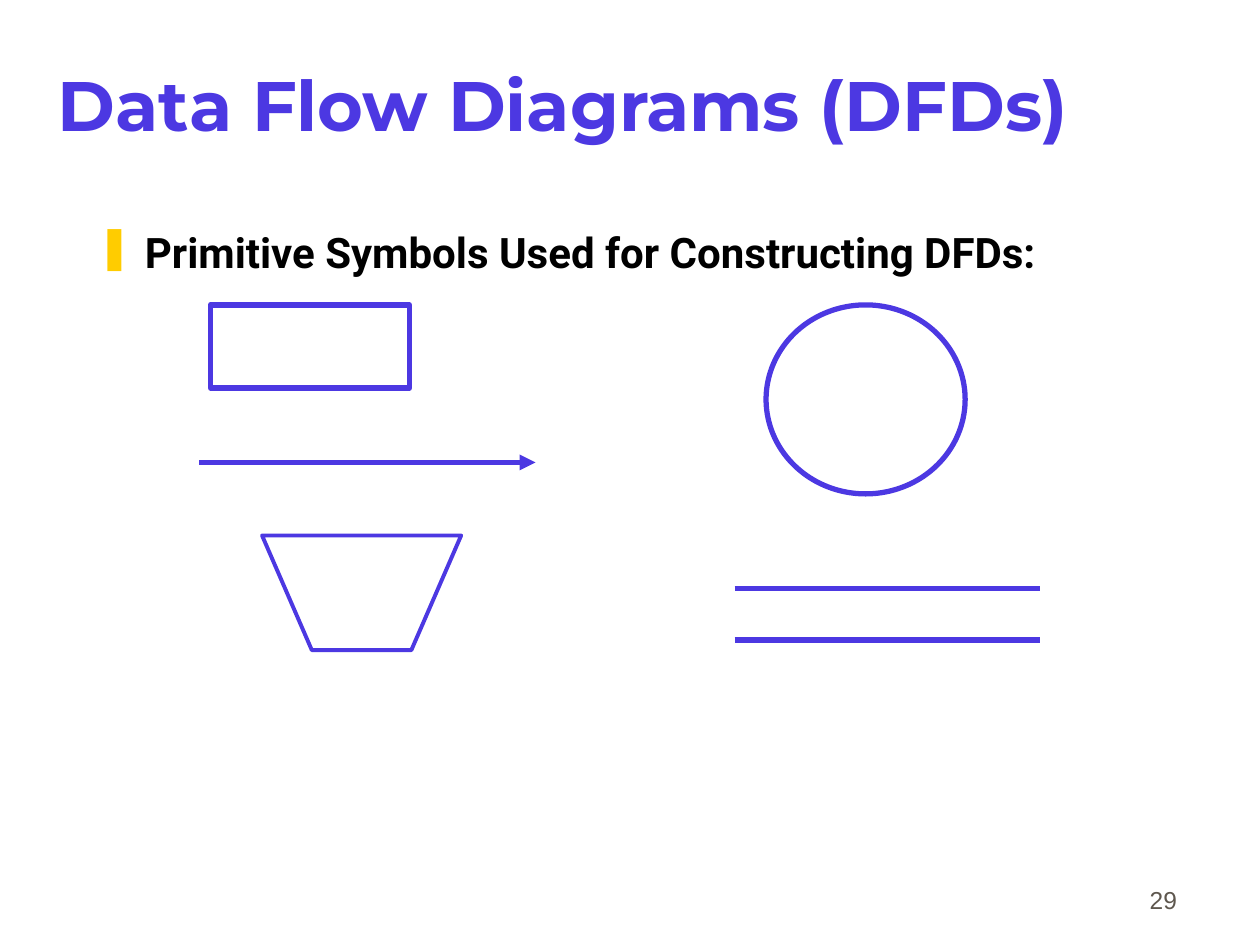
import pptx
import pptx.dml.color
import pptx.enum.shapes
import pptx.enum.text
import pptx.oxml.ns
import pptx.util
from lxml import etree

Inches, Pt = pptx.util.Inches, pptx.util.Pt
RGBColor = pptx.dml.color.RGBColor
SHAPE = pptx.enum.shapes.MSO_SHAPE
ANCHOR = pptx.enum.text.MSO_ANCHOR
ALIGN = pptx.enum.text.PP_ALIGN

VIOLET = RGBColor(0x4C, 0x38, 0xE2)
BLACK = RGBColor(0, 0, 0)
GREY = RGBColor(0x5E, 0x57, 0x4E)
YELLOW = RGBColor(0xFF, 0xCC, 0x00)

# Content: text, box, side inset, anchor, alignment, space before, font
TEXTS = {
    "page": ("29", (7.36, 6.81, 2.08, 0.5), 0.1, ANCHOR.BOTTOM, ALIGN.RIGHT, 8.8,
             dict(name="Arial", size=Pt(14), bold=False), GREY),
    "title": ("Data Flow Diagrams (DFDs)", (0.44, 0.2, 8.5, 1.25), 0.02, ANCHOR.MIDDLE,
              ALIGN.LEFT, 9.9, dict(name="Montserrat", size=Pt(40), bold=True), VIOLET),
    "heading": ("Primitive Symbols Used for Constructing DFDs:", (0.75, 1.75, 8.5, 4.5), 0.02,
                ANCHOR.TOP, ALIGN.LEFT, 5.4,
                dict(name="Roboto", size=Pt(24), bold=True), BLACK),
}
BULLET, BULLET_INDENT = "❚", 0.38

# Symbols, in inches
SYMBOL_WIDTH, SYMBOL_TOP = 1.58, 2.42
ENTITY_AND_PROCESS = [(SHAPE.RECTANGLE, 1.67, 0.66), (SHAPE.OVAL, 6.08, 1.5)]
FLOW = (1.58, 4.25, 3.67)
STORE_LEFT, STORE_RIGHT, STORE_LEVELS = 5.83, 8.25, (4.67, 5.08)
INPUT_LEFT, INPUT_TOP, INPUT_HEIGHT = 2.08, 4.25, 0.91


def add_element(parent, tag, **attributes):
    return etree.SubElement(parent, pptx.oxml.ns.qn(tag), **attributes)


def add_text(slide, text, box, inset, anchor, align, space, font, color):
    frame = slide.shapes.add_textbox(*map(Inches, box)).text_frame
    settings = dict(word_wrap=True, vertical_anchor=anchor,
                    margin_left=Inches(inset), margin_right=Inches(inset))
    for key, value in settings.items():
        setattr(frame, key, value)
    paragraph = frame.paragraphs[0]
    paragraph.alignment, paragraph.space_before = align, Pt(space)
    run = paragraph.add_run()
    run.text = text
    for key, value in font.items():
        setattr(run.font, key, value)
    run.font.color.rgb = color
    return paragraph


def add_bullet(paragraph):
    properties = paragraph._p.get_or_add_pPr()
    indent = Inches(BULLET_INDENT)
    properties.set("marL", str(indent))
    properties.set("indent", str(-indent))
    add_element(add_element(properties, "a:buClr"), "a:srgbClr", val=str(YELLOW))
    add_element(properties, "a:buChar", char=BULLET)


def outline(symbol, width=3):
    symbol.fill.background()
    symbol.shadow.inherit = False
    symbol.line.color.rgb = VIOLET
    symbol.line.width = Pt(width)


def add_line(slide, left, right, level):
    line = slide.shapes.add_connector(
        pptx.enum.shapes.MSO_CONNECTOR.STRAIGHT,
        *map(Inches, (left, level, right, level)))
    line.line.color.rgb = VIOLET
    line.line.width = Pt(3)
    add_element(line._element.spPr, "a:effectLst")
    return line


def main():
    deck = pptx.Presentation()
    deck.slide_width, deck.slide_height = Inches(10), Inches(7.5)
    slide = deck.slides.add_slide(deck.slide_layouts[6])

    # Texts
    paragraphs = {part: add_text(slide, *content) for part, content in TEXTS.items()}
    add_bullet(paragraphs["heading"])

    # External entity and process
    for kind, left, height in ENTITY_AND_PROCESS:
        outline(slide.shapes.add_shape(
            kind, *map(Inches, (left, SYMBOL_TOP, SYMBOL_WIDTH, height))))

    # Data flow arrow
    flow = add_line(slide, *FLOW)
    add_element(flow.line._get_or_add_ln(), "a:tailEnd", type="triangle")

    # Data store
    for level in STORE_LEVELS:
        add_line(slide, STORE_LEFT, STORE_RIGHT, level)

    # Trapezoid: the bottom side is inset by a quarter of the width
    right, bottom = INPUT_LEFT + SYMBOL_WIDTH, INPUT_TOP + INPUT_HEIGHT
    inset = SYMBOL_WIDTH / 4
    corners = [(right, INPUT_TOP), (right - inset, bottom), (INPUT_LEFT + inset, bottom)]
    builder = slide.shapes.build_freeform(Inches(INPUT_LEFT), Inches(INPUT_TOP))
    builder.add_line_segments([(Inches(x), Inches(y)) for x, y in corners], close=True)
    outline(builder.convert_to_shape(), 2.25)

    deck.save("out.pptx")


if __name__ == "__main__":
    main()
